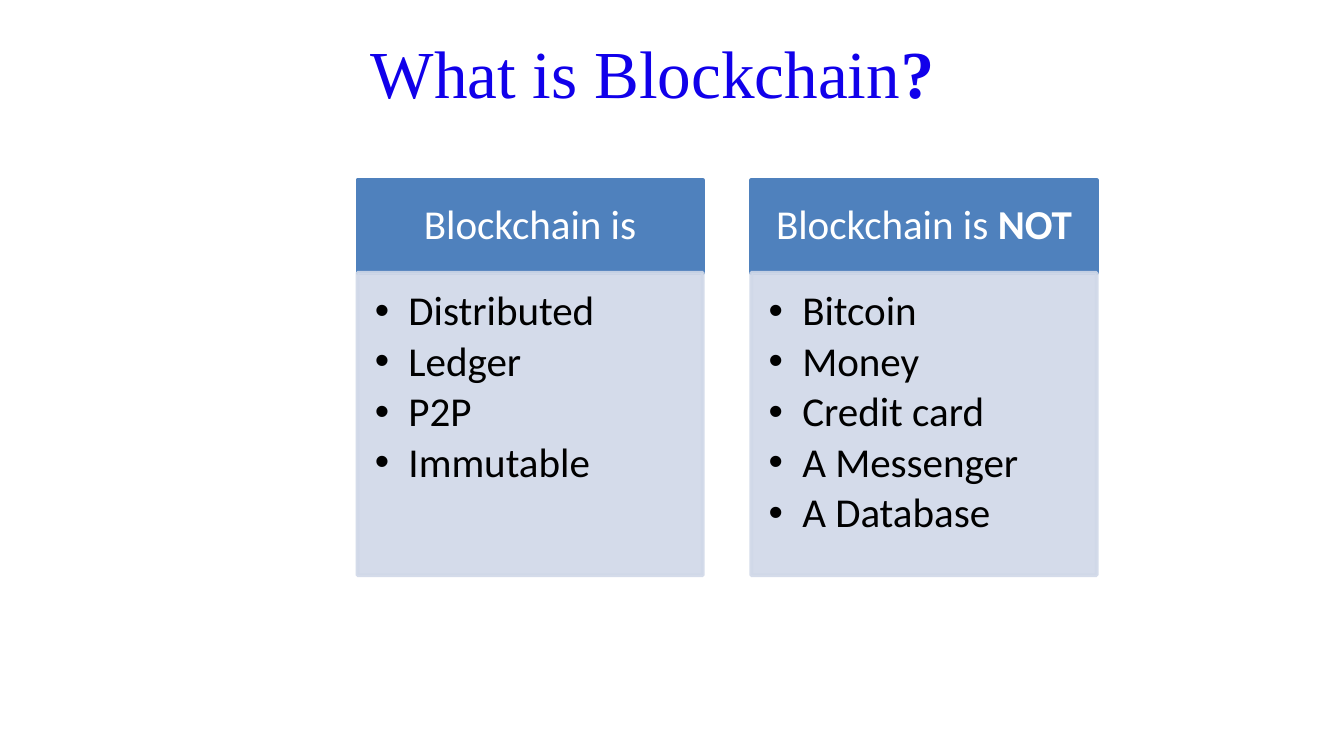
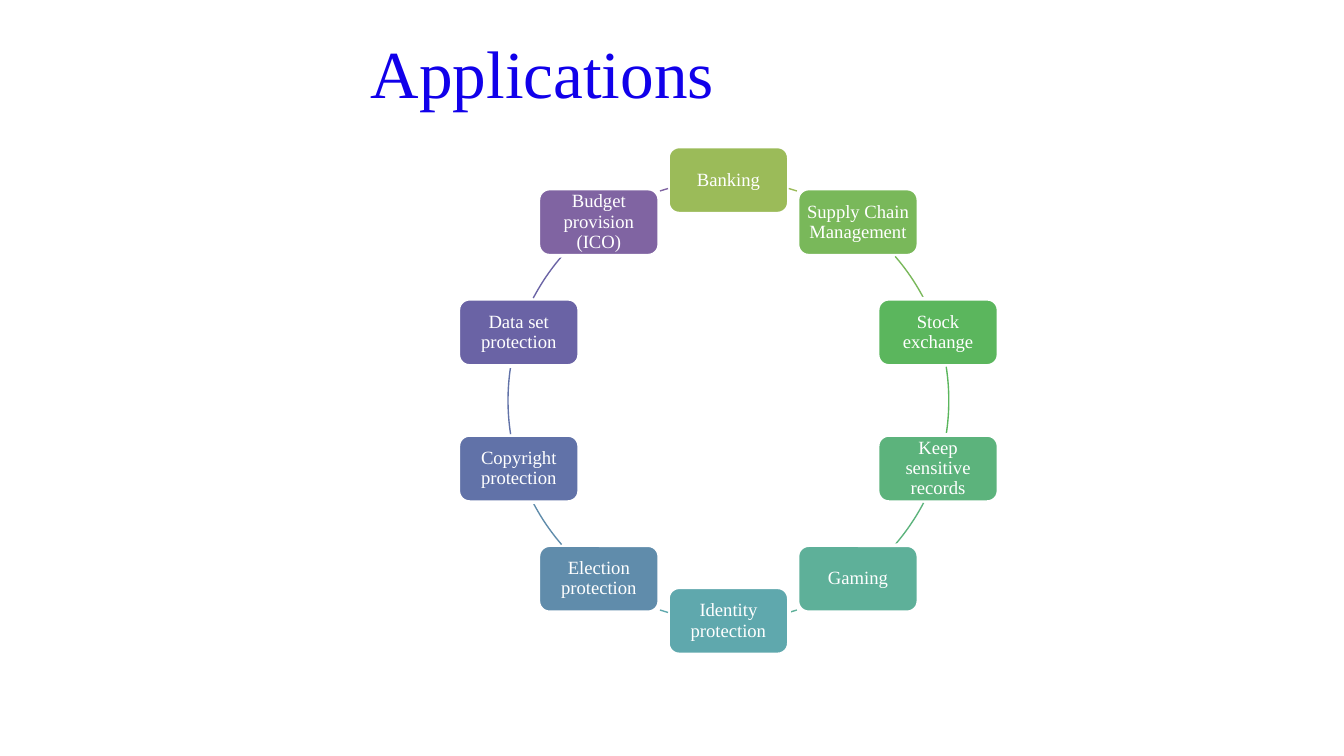
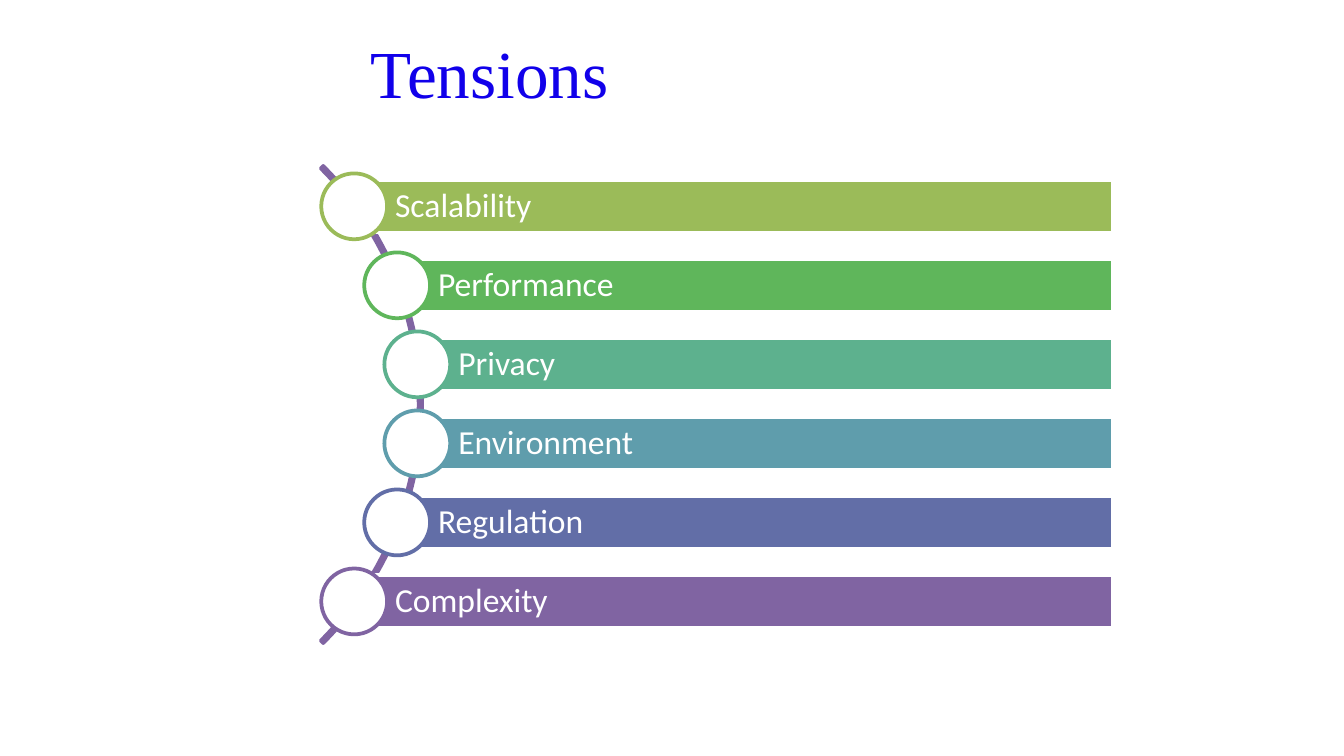
"""Build three slides on blockchain: definition, applications and tensions."""
from math import cos, radians, sin

from lxml import etree
from pptx import Presentation
from pptx.dml.color import RGBColor
from pptx.enum.shapes import MSO_SHAPE
from pptx.enum.text import MSO_ANCHOR, PP_ALIGN
from pptx.oxml.ns import qn
from pptx.util import Inches, Pt

RECTANGLE, ROUNDED = MSO_SHAPE.RECTANGLE, MSO_SHAPE.ROUNDED_RECTANGLE
OVAL, ARC, BLOCK_ARC = MSO_SHAPE.OVAL, MSO_SHAPE.ARC, MSO_SHAPE.BLOCK_ARC
TOP, MIDDLE = MSO_ANCHOR.TOP, MSO_ANCHOR.MIDDLE
LEFT, CENTER = PP_ALIGN.LEFT, PP_ALIGN.CENTER

WHITE = RGBColor(0xFF, 0xFF, 0xFF)
BLACK = RGBColor(0x00, 0x00, 0x00)
TITLE_BLUE = RGBColor(0x11, 0x00, 0xEA)
HEADER_BLUE = RGBColor(0x4F, 0x81, 0xBD)
PALE_BLUE = RGBColor(0xD0, 0xD8, 0xE8)
PURPLE = RGBColor(0x80, 0x64, 0xA2)
SERIF, SANS = "Times New Roman", "Calibri"


def add_box(page, kind, left, top, width, height, fill, line, weight=2):
    """Add a preset shape in inches with plain fill and line."""
    box = page.shapes.add_shape(kind, Inches(left), Inches(top), Inches(width), Inches(height))
    box.shadow.inherit = False
    if fill is None:
        box.fill.background()
    else:
        box.fill.solid()
        box.fill.fore_color.rgb = fill
    box.line.color.rgb = line
    box.line.width = Pt(weight)
    return box


def write(box, paras, size, font, color, align, anchor, insets, spacing=0.9):
    """Fill a box with paragraphs, each a list of (text, bold) runs."""
    frame = box.text_frame
    frame.word_wrap = True
    frame.vertical_anchor = anchor
    frame.margin_left, frame.margin_top, frame.margin_right, frame.margin_bottom = map(Inches, insets)
    for index, runs in enumerate(paras):
        para = frame.paragraphs[0] if index == 0 else frame.add_paragraph()
        para.alignment = align
        para.line_spacing = spacing
        for text, bold in runs:
            span = para.add_run()
            span.text = text
            span.font.size = Pt(size)
            span.font.name = font
            span.font.bold = bold
            span.font.color.rgb = color


deck = Presentation()
deck.slide_width, deck.slide_height = Inches(10), Inches(10 * 9 / 16)

titles = [
    [("What is Blockchain", False), ("?", True)],
    [("Applications", False)],
    [("Tensions", False)],
]
pages = []
for title in titles:
    page = deck.slides.add_slide(deck.slide_layouts[6])
    title_box = page.shapes.add_textbox(Inches(2.66), Inches(0.14), Inches(6.85), Inches(0.79))
    write(title_box, [title], 36, SERIF, TITLE_BLUE, LEFT, MIDDLE, (0.1, 0.05, 0.1, 0.05), 1.0)
    pages.append(page)
definition_page, applications_page, tensions_page = pages

columns = [
    ([("Blockchain is", False)], ["Distributed", "Ledger", "P2P", "Immutable"]),
    ([("Blockchain is ", False), ("NOT", True)],
     ["Bitcoin", "Money", "Credit card", "A Messenger", "A Database"]),
]
for index, (heading, points) in enumerate(columns):
    left = 2.66 + 2.93 * index
    header = add_box(definition_page, RECTANGLE, left, 1.34, 2.57, 0.69, HEADER_BLUE, HEADER_BLUE)
    write(header, [heading], 22, SANS, WHITE, CENTER, MIDDLE, (0.17, 0.1, 0.17, 0.1))
    body = add_box(definition_page, RECTANGLE, left, 2.03, 2.57, 2.25, PALE_BLUE, PALE_BLUE)
    for tint in body.element.spPr.iter(qn("a:srgbClr")):
        etree.SubElement(tint, qn("a:alpha"), val="90000")
    write(body, [[(point, False)] for point in points], 22, SANS, BLACK, LEFT, TOP,
          (0.13, 0.13, 0.17, 0.19))
    for para in body.text_frame.paragraphs:
        para.space_after = Pt(3.3)
        settings = para._p.get_or_add_pPr()
        settings.set("marL", str(Inches(0.25)))
        settings.set("indent", str(-Inches(0.25)))
        etree.SubElement(settings, qn("a:buFont"), typeface="Arial")
        etree.SubElement(settings, qn("a:buChar"), char="•")

applications = [
    ("Banking", "9BBB59"),
    ("Supply Chain Management", "79B85A"),
    ("Stock exchange", "5BB65D"),
    ("Keep sensitive records", "5CB37C"),
    ("Gaming", "5EB099"),
    ("Identity protection", "5FA8AD"),
    ("Election protection", "608CAB"),
    ("Copyright protection", "6172A8"),
    ("Data set protection", "6A63A5"),
    ("Budget provision (ICO)", "8064A2"),
]
half_ring = [(-74.1, -71.9), (-40.8, -27.7), (-8.8, 8.8), (27.7, 40.8), (71.9, 74.1)]
center_x, center_y, radius = 5.42, 2.98, 1.64
for index, (name, shade) in enumerate(applications):
    color = RGBColor.from_string(shade)
    angle = radians(360 / len(applications) * index - 90)
    node = add_box(applications_page, ROUNDED, center_x + radius * cos(angle) - 0.45,
                   center_y + radius * sin(angle) - 0.25, 0.9, 0.5, color, WHITE)
    write(node, [[(name, False)]], 10, SERIF, WHITE, CENTER, MIDDLE, [0.04] * 4)
    link = add_box(applications_page, ARC, center_x - radius, center_y - radius,
                   2 * radius, 2 * radius, None, color, 0.75)
    half, step = divmod(index, len(half_ring))
    for end, degrees in enumerate(half_ring[step]):
        link.adjustments[end] = (degrees + 180 * half) % 360 * 0.6

spine = add_box(tensions_page, BLOCK_ARC, -1.88, 0.5, 5.02, 5.02, None, PURPLE)
for index, value in enumerate((189, 27, 0.005)):
    spine.adjustments[index] = value

tensions = [
    ("Scalability", 2.63, "9BBB59"),
    ("Performance", 2.95, "5FB65B"),
    ("Privacy", 3.1, "5DB18E"),
    ("Environment", 3.1, "5F9DAC"),
    ("Regulation", 2.95, "626EA7"),
    ("Complexity", 2.63, "8064A2"),
]
bars_top, bars_right = 1.34, 8.28
pitch = (4.28 - bars_top) / (len(tensions) - 1)
for index, (name, left, shade) in enumerate(tensions):
    color = RGBColor.from_string(shade)
    top = bars_top + pitch * index
    bar = add_box(tensions_page, RECTANGLE, left, top, bars_right - left, 0.39, color, WHITE)
    write(bar, [[(name, False)]], 18, SANS, WHITE, LEFT, MIDDLE, (0.31, 0.05, 0.05, 0.05))
    add_box(tensions_page, OVAL, left - 0.24, top - 0.05, 0.49, 0.49, WHITE, color)

deck.save("out.pptx")
